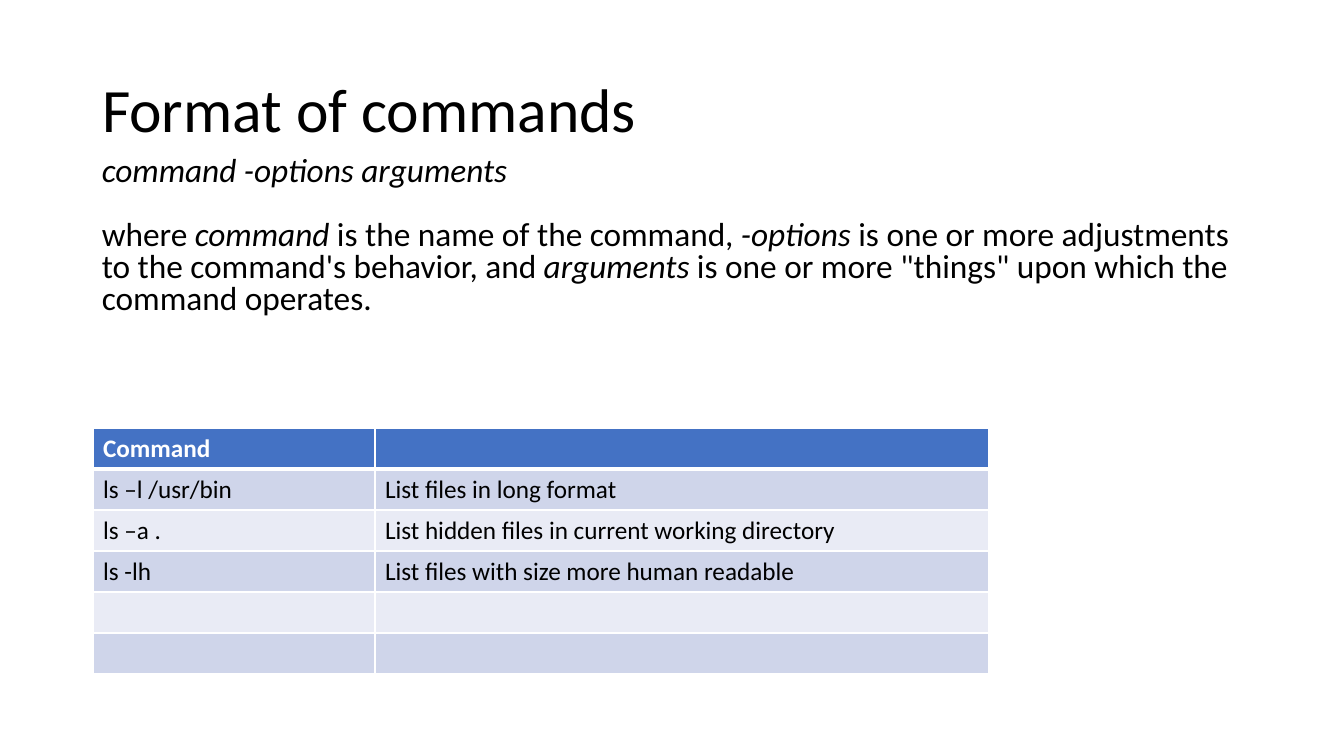
from typing import NamedTuple

import pptx
import pptx.dml.color
import pptx.enum.text
import pptx.oxml
import pptx.oxml.ns
import pptx.util

EMU_PER_PX = 914400 / 100.8
FONT = "Calibri"
BLACK, WHITE = "000000", "FFFFFF"
HEADER_FILL = "4472C4"
BAND_FILLS = ("CFD5EA", "E9EBF5")
TITLE_ONLY = 5


class Box(NamedTuple):
    left: int
    top: int
    width: int
    height: int


class Phrase(NamedTuple):
    text: str
    italic: bool = False


class CommandRow(NamedTuple):
    command: str = ""
    meaning: str = ""


TITLE_BOX = Box(92, 40, 1160, 146)
SYNTAX_BOX = Box(92, 152, 1160, 216)
TABLE_BOX = Box(93, 428, 896, 246)
COLUMN_WIDTHS = (282, 614)

SYNTAX = [
    [Phrase("command -options arguments", True)],
    [
        Phrase("where "),
        Phrase("command", True),
        Phrase(" is the name of the command, "),
        Phrase("-options", True),
        Phrase(" is one or more adjustments to the command's behavior, and "),
        Phrase("arguments", True),
        Phrase(' is one or more "things" upon which the command operates.'),
    ],
]

COMMAND_ROWS = [
    CommandRow("Command"),
    CommandRow("ls –l /usr/bin", "List files in long format"),
    CommandRow("ls –a .", "List hidden files in current working directory"),
    CommandRow("ls -lh", "List files with size more human readable"),
    CommandRow(),
    CommandRow(),
]


def px(length: float) -> int:
    return pptx.util.Emu(round(length * EMU_PER_PX))


def emu_box(box: Box) -> list[int]:
    return [px(length) for length in box]


def color(value: str) -> pptx.dml.color.RGBColor:
    return pptx.dml.color.RGBColor.from_string(value)


def style_font(font, size: float, ink: str = BLACK, bold: bool = False, italic: bool = False) -> None:
    font.name = FONT
    font.size = pptx.util.Pt(size)
    font.bold = bold
    font.italic = italic
    font.color.rgb = color(ink)


def set_title(slide) -> None:
    title = slide.shapes.title
    title.left, title.top, title.width, title.height = emu_box(TITLE_BOX)
    frame = title.text_frame
    frame.text = "Format of commands"
    frame.auto_size = pptx.enum.text.MSO_AUTO_SIZE.NONE
    frame.vertical_anchor = pptx.enum.text.MSO_ANCHOR.MIDDLE
    heading = frame.paragraphs[0]
    heading.alignment = pptx.enum.text.PP_ALIGN.LEFT
    heading.line_spacing = 0.9
    style_font(heading.runs[0].font, 44)


def add_syntax(slide) -> None:
    frame = slide.shapes.add_textbox(*emu_box(SYNTAX_BOX)).text_frame
    frame.word_wrap = True
    for index, phrases in enumerate(SYNTAX):
        paragraph = frame.add_paragraph() if index else frame.paragraphs[0]
        paragraph.line_spacing = 0.8
        paragraph.space_before = pptx.util.Pt(23 * index)
        for phrase in phrases:
            run = paragraph.add_run()
            run.text = phrase.text
            style_font(run.font, 23.8, italic=phrase.italic)


def add_borders(cell, top: int, bottom: int) -> None:
    """Draw white cell borders; widths are in points."""
    properties = cell._tc.get_or_add_tcPr()
    for side, width in (("L", 1), ("R", 1), ("T", top), ("B", bottom)):
        properties.append(pptx.oxml.parse_xml(
            f'<a:ln{side} {pptx.oxml.ns.nsdecls("a")} w="{pptx.util.Pt(width)}">'
            f'<a:solidFill><a:srgbClr val="{WHITE}"/></a:solidFill></a:ln{side}>'
        ))


def add_command_table(slide) -> None:
    row_count = len(COMMAND_ROWS)
    table = slide.shapes.add_table(row_count, len(COLUMN_WIDTHS), *emu_box(TABLE_BOX)).table
    for column, width in zip(table.columns, COLUMN_WIDTHS):
        column.width = px(width)
    for index, entry in enumerate(COMMAND_ROWS):
        is_header = index == 0
        table.rows[index].height = px(TABLE_BOX.height / row_count)
        for cell, text in zip(table.rows[index].cells, entry):
            add_borders(cell, top=3 if index == 1 else 1, bottom=3 if is_header else 1)
            cell.fill.solid()
            cell.fill.fore_color.rgb = color(HEADER_FILL if is_header else BAND_FILLS[(index - 1) % 2])
            cell.text_frame.text = text
            for run in cell.text_frame.paragraphs[0].runs:
                style_font(run.font, 18, WHITE if is_header else BLACK, bold=is_header)


def main() -> None:
    presentation = pptx.Presentation()
    presentation.slide_width = px(1344)
    presentation.slide_height = px(756)
    slide = presentation.slides.add_slide(presentation.slide_layouts[TITLE_ONLY])
    set_title(slide)
    add_syntax(slide)
    add_command_table(slide)
    presentation.save("out.pptx")


if __name__ == "__main__":
    main()
